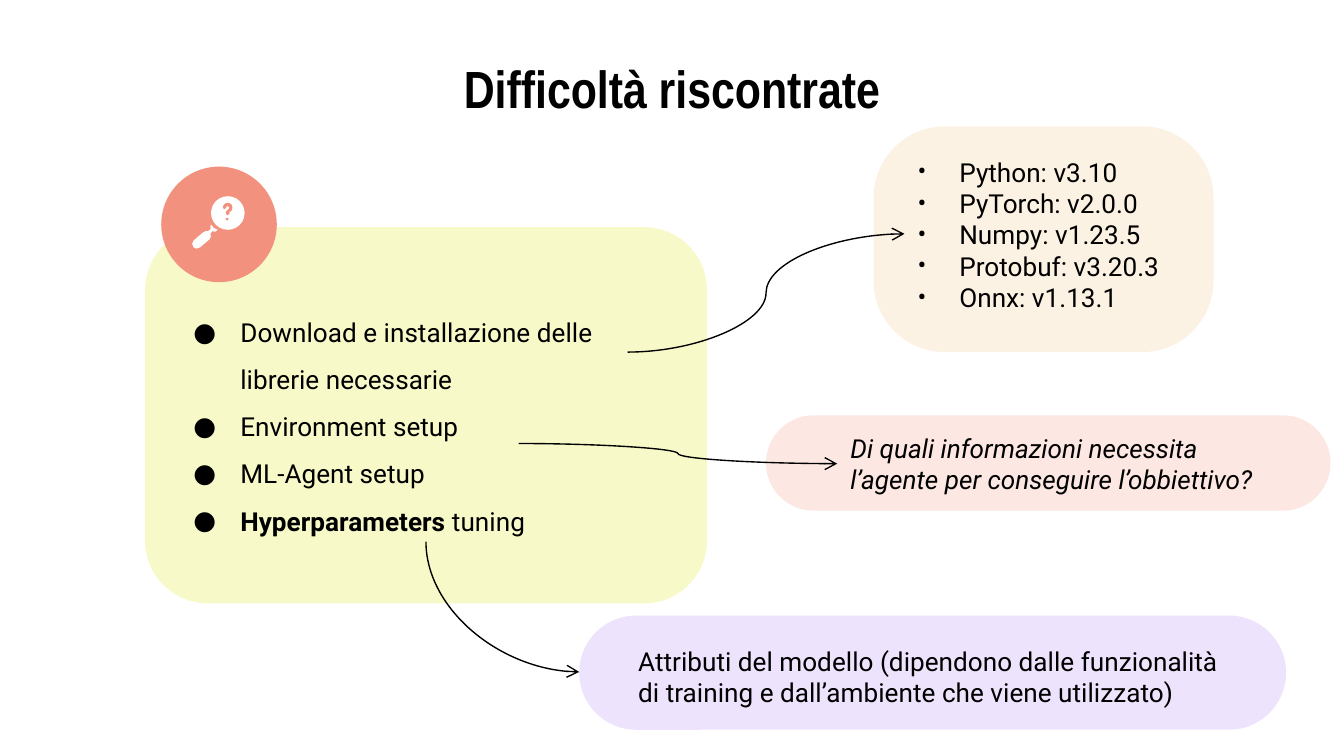
from dataclasses import dataclass
from lxml.etree import SubElement
from pptx import Presentation
from pptx.dml.color import RGBColor
from pptx.enum.shapes import MSO_CONNECTOR, MSO_SHAPE
from pptx.enum.text import MSO_ANCHOR, MSO_AUTO_SIZE, PP_ALIGN
from pptx.oxml.ns import qn
from pptx.util import Inches, Pt


@dataclass(frozen=True)
class Theme:
    """Colours, fonts and sizes of the slide."""
    ink: str = "000000"
    white: str = "FFFFFF"
    coral: str = "F2917D"
    yellow: str = "E4EA27"
    orange: str = "E99B27"
    red: str = "EA4827"
    violet: str = "8027EA"
    heading_font: str = "Arial Narrow"
    body_font: str = "Roboto"
    heading_size: int = 28
    body_size: int = 14
    line_width: float = 0.75


THEME = Theme()


@dataclass(frozen=True)
class Box:
    """A rectangle in inches."""
    left: float
    top: float
    width: float
    height: float

    def inner(self, dx, dy, width, height):
        """Return a box offset from this one's corner."""
        return Box(self.left + dx, self.top + dy, width, height)

    def lengths(self):
        """Return left, top, width and height as lengths."""
        return [Inches(v) for v in (self.left, self.top, self.width, self.height)]


def paint(shape, color, opacity=100):
    """Give a shape a flat fill without line or shadow."""
    shape.fill.solid()
    shape.fill.fore_color.rgb = RGBColor.from_string(color)
    if opacity < 100:
        srgb = shape.fill._xPr.find(qn("a:solidFill")).find(qn("a:srgbClr"))
        SubElement(srgb, qn("a:alpha"), val=str(opacity * 1000))
    shape.line.fill.background()
    shape.shadow.inherit = False


def add_preset(slide, preset, box, color, opacity=100, corner=None):
    """Add a painted preset shape."""
    shape = slide.shapes.add_shape(preset, *box.lengths())
    if corner is not None:
        shape.adjustments[0] = corner
    paint(shape, color, opacity)


def add_outline(slide, box, points, color):
    """Add a polygon whose points are in hundredths of an inch from the box corner."""
    corners = [(Inches(box.left + x / 100), Inches(box.top + y / 100)) for x, y in points]
    builder = slide.shapes.build_freeform(*corners[0], scale=1.0)
    builder.add_line_segments(corners[1:], close=True)
    paint(builder.convert_to_shape(), color)


def style_font(font, name, size):
    """Apply typeface, size and ink colour."""
    font.name = name
    font.size = Pt(size)
    font.color.rgb = RGBColor.from_string(THEME.ink)


def set_margins(frame, anchor):
    """Set wrapping, equal margins and vertical anchor."""
    frame.word_wrap = True
    frame.auto_size = MSO_AUTO_SIZE.NONE
    frame.vertical_anchor = anchor
    frame.margin_left = frame.margin_right = Inches(0.1)
    frame.margin_top = frame.margin_bottom = Inches(0.1)


def add_text(slide, box, lines, anchor=MSO_ANCHOR.MIDDLE, italic=None,
             bullet=None, indent=0, spacing=None):
    """Add body text, one paragraph for each line."""
    frame = slide.shapes.add_textbox(*box.lengths()).text_frame
    set_margins(frame, anchor)
    frame.text = "\n".join(lines)
    for paragraph in frame.paragraphs:
        if spacing:
            paragraph.line_spacing = spacing
        if bullet:
            properties = paragraph._p.get_or_add_pPr()
            properties.set("marL", str(Inches(indent)))
            properties.set("indent", str(-Inches(indent)))
            SubElement(properties, qn("a:buFont"), typeface=THEME.body_font)
            SubElement(properties, qn("a:buChar"), char=bullet)
        for run in paragraph.runs:
            style_font(run.font, THEME.body_font, THEME.body_size)
            run.font.italic = italic
    return frame


def add_arrow(slide, start, end):
    """Add a thin curved connector with an open arrowhead."""
    arrow = slide.shapes.add_connector(
        MSO_CONNECTOR.CURVE, *(Inches(v) for v in (*start, *end)))
    arrow.line.color.rgb = RGBColor.from_string(THEME.ink)
    arrow.line.width = Pt(THEME.line_width)
    SubElement(arrow.line._get_or_add_ln(), qn("a:tailEnd"), type="arrow")
    SubElement(arrow._element.spPr, qn("a:effectLst"))
    return arrow


def add_bend(slide, start, end):
    """Add a curved arrow that leaves downwards and arrives rightwards."""
    center_x, center_y = (start[0] + end[0]) / 2, (start[1] + end[1]) / 2
    half_x, half_y = (end[1] - start[1]) / 2, (end[0] - start[0]) / 2
    arrow = add_arrow(slide, (center_x + half_x, center_y - half_y),
                      (center_x - half_x, center_y + half_y))
    properties = arrow._element.spPr
    properties.find(qn("a:xfrm")).set("rot", str(270 * 60000))
    properties.find(qn("a:prstGeom")).set("prst", "curvedConnector2")


def add_heading(slide, box):
    """Place and format the title."""
    title = slide.shapes.title
    title.left, title.top, title.width, title.height = box.lengths()
    set_margins(title.text_frame, MSO_ANCHOR.MIDDLE)
    title.text_frame.text = "Difficoltà riscontrate"
    paragraph = title.text_frame.paragraphs[0]
    paragraph.alignment = PP_ALIGN.CENTER
    style_font(paragraph.runs[0].font, THEME.heading_font, THEME.heading_size)
    paragraph.runs[0].font.bold = True


def add_badge(slide, box):
    """Draw the round badge with a magnifier and question mark."""
    add_preset(slide, MSO_SHAPE.OVAL, box, THEME.coral)
    handle = [(37, 43), (36.5, 45), (37, 46), (35, 48), (33, 48), (31, 49), (24, 55),
              (23, 57.5), (24, 60), (26, 61), (29, 60), (36, 54), (37, 52), (36.5, 50),
              (38, 48), (40, 48.5), (42, 47), (39, 45.5)]
    add_outline(slide, box, handle, THEME.white)
    add_preset(slide, MSO_SHAPE.OVAL, box.inner(0.37, 0.22, 0.25, 0.25), THEME.white)
    hook = [(46, 30), (46.5, 28.5), (48, 27.3), (49.5, 27), (51, 27.3), (52.5, 28.5),
            (53, 30.5), (52.5, 32.5), (50.7, 34), (50.7, 35.3), (49.5, 36), (48.2, 35.3),
            (48.2, 33.5), (50, 31.7), (50.7, 30.5), (49.5, 29.2), (48.3, 30.2),
            (47.5, 31.6), (46.3, 31.3)]
    add_outline(slide, box, hook, THEME.coral)
    add_preset(slide, MSO_SHAPE.OVAL, box.inner(0.48, 0.38, 0.02, 0.02), THEME.coral)


def add_difficulties(slide, box):
    """Draw the main panel with its list and badge."""
    add_preset(slide, MSO_SHAPE.ROUNDED_RECTANGLE, box, THEME.yellow, 25, 0.167)
    add_badge(slide, box.inner(0.12, -0.45, 0.86, 0.86))
    frame = add_text(
        slide, box.inner(0.26, 0.45, 3.66, 1.89),
        ["Download e installazione delle librerie necessarie",
         "Environment setup", "ML-Agent setup", "Hyperparameters"],
        MSO_ANCHOR.TOP, bullet="●", indent=0.35, spacing=1.5)
    tuning = frame.paragraphs[-1]
    tuning.runs[0].font.bold = True
    suffix = tuning.add_run()
    suffix.text = " tuning"
    style_font(suffix.font, THEME.body_font, THEME.body_size)


def add_callout(slide, box, text_box, color, lines, corner=0.5, **text_style):
    """Draw a tinted rounded box with its text."""
    add_preset(slide, MSO_SHAPE.ROUNDED_RECTANGLE, box, color, 13, corner)
    add_text(slide, text_box, lines, **text_style)


def main():
    """Build and save the slide."""
    deck = Presentation()
    deck.slide_width = Inches(10)
    deck.slide_height = deck.slide_width * 9 // 16
    slide = deck.slides.add_slide(deck.slide_layouts[5])
    add_heading(slide, Box(0.5, 0.45, 9, 0.41))

    attributes = Box(4.31, 4.58, 5.26, 0.85)
    add_callout(slide, attributes, attributes.inner(0.34, 0.05, 4.58, 0.81), THEME.violet,
                ["Attributi del modello (dipendono dalle funzionalità di training "
                 "e dall’ambiente che viene utilizzato)"])
    question = Box(5.7, 3.09, 4.2, 0.71)
    add_callout(slide, question, question.inner(0.53, 0.02, 3.27, 0.68), THEME.red,
                ["Di quali informazioni necessita l’agente per conseguire l’obbiettivo?"],
                italic=True)
    versions = Box(6.5, 0.94, 2.53, 1.68)
    add_callout(slide, versions, versions.inner(0.23, 0.2, 3.43, 1.21), THEME.orange,
                ["Python: v3.10", "PyTorch: v2.0.0", "Numpy: v1.23.5",
                 "Protobuf: v3.20.3", "Onnx: v1.13.1"],
                corner=0.316, bullet="•", indent=0.31)
    add_difficulties(slide, Box(1.08, 1.69, 4.18, 2.8))

    add_arrow(slide, (4.67, 2.62), (6.73, 1.74))
    add_arrow(slide, (3.86, 3.3), (6.23, 3.45))
    add_bend(slide, (3.17, 4.03), (4.31, 5))
    deck.save("out.pptx")


if __name__ == "__main__":
    main()
